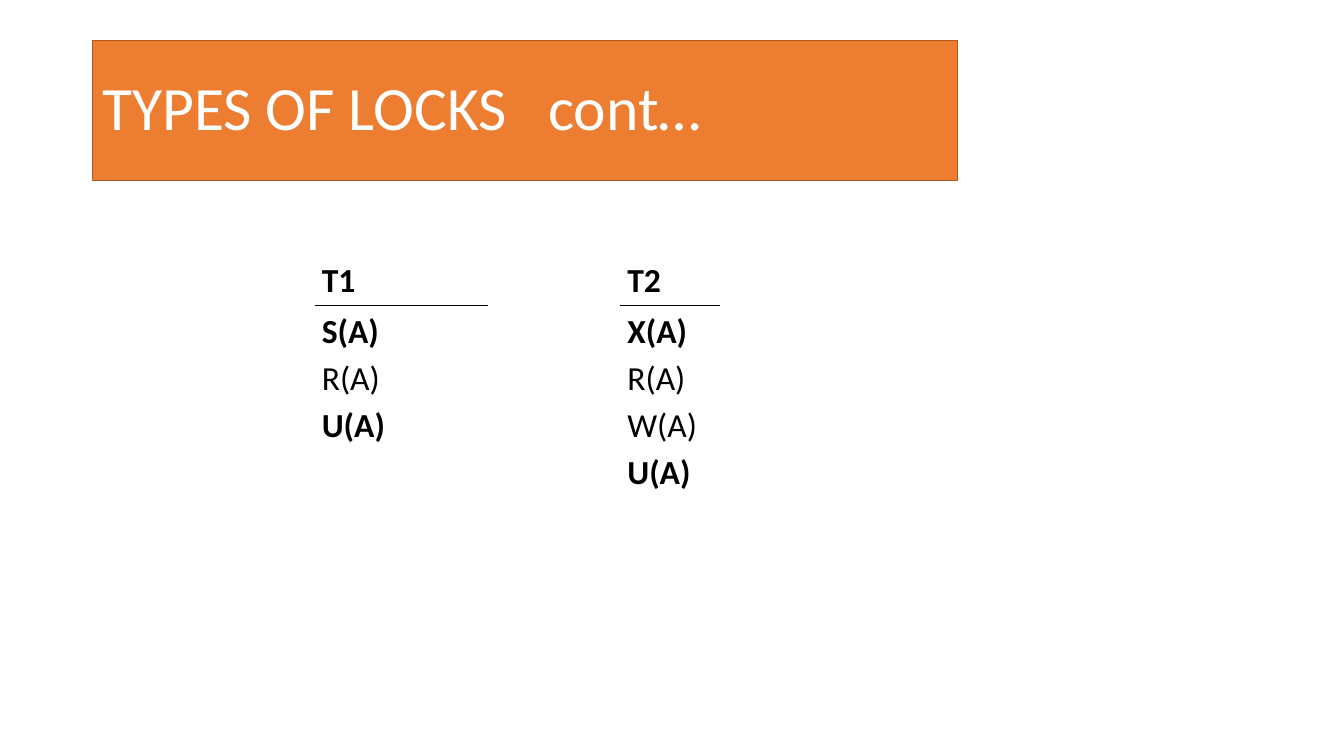
from lxml import etree
from pptx import Presentation
from pptx.dml.color import RGBColor
from pptx.enum.text import MSO_ANCHOR, MSO_AUTO_SIZE, PP_ALIGN
from pptx.oxml.ns import qn
from pptx.util import Cm, Pt

MIDDLE, TOP = MSO_ANCHOR.MIDDLE, MSO_ANCHOR.TOP
LEFT = PP_ALIGN.LEFT
NO_FIT = MSO_AUTO_SIZE.NONE

COLORS = {"banner": "ED7D31", "edge": "AF5C24", "light": "FFFFFF", "ink": "000000"}
FACE = "Calibri"
HEADS = ("T1", "", "T2")
STEPS = (("S(A)", "R(A)", "U(A)"), (), ("X(A)", "R(A)", "W(A)", "U(A)"))
LOCKS = ("S", "X", "U")  # lock and unlock steps are bold


def rgb(name):
    return RGBColor.from_string(COLORS[name])


def style(par, size, color, bold, space):
    par.alignment = LEFT
    par.line_spacing = space
    font = par.font
    font.name, font.size, font.bold = FACE, Pt(size), bold
    font.color.rgb = rgb(color)


def add_tab(par, pos):
    props = par._p.get_or_add_pPr()
    tabs = etree.Element(qn("a:tabLst"))
    etree.SubElement(tabs, qn("a:tab"), pos=str(pos), algn="l")
    props.find(qn("a:defRPr")).addprevious(tabs)


def set_edges(cell, ruled):
    """Draw the ruled sides in black and clear the others."""
    props = cell._tc.get_or_add_tcPr()
    for i, side in enumerate(("lnL", "lnR", "lnT", "lnB")):
        line = etree.Element(qn("a:" + side), w=str(Pt(1)))
        if side == ruled:
            fill = etree.SubElement(line, qn("a:solidFill"))
            etree.SubElement(fill, qn("a:srgbClr"), val=COLORS["ink"])
        else:
            etree.SubElement(line, qn("a:noFill"))
        props.insert(i, line)


# Title banner
def add_title(slide, left, top, width, height):
    title = slide.shapes.title
    title.left, title.top, title.width, title.height = left, top, width, height
    title.fill.solid()
    title.fill.fore_color.rgb = rgb("banner")
    title.line.color.rgb = rgb("edge")
    title.line.width = Pt(1)
    frame = title.text_frame
    frame.auto_size = NO_FIT
    frame.vertical_anchor = MIDDLE
    frame.text = "TYPES OF LOCKS\tcont…"
    par = frame.paragraphs[0]
    style(par, 44, "light", False, 0.9)
    add_tab(par, Cm(11.23))


# One table cell, a paragraph for each step
def fill_cell(cell, lines, ruled):
    cell.fill.background()
    cell.vertical_anchor = TOP
    cell.margin_left = cell.margin_right = Cm(0.18)
    cell.margin_top = cell.margin_bottom = 0
    set_edges(cell, ruled if lines else None)
    frame = cell.text_frame
    frame.text = "\n".join(lines)
    for par in frame.paragraphs:
        bold = par.text.startswith(LOCKS + ("T",))
        style(par, 24, "ink", bold, 1.15)


# Schedule of the two transactions
def add_plan(slide, left, top, width, height):
    table = slide.shapes.add_table(2, 3, left, top, width, height).table
    table.first_row = table.horz_banding = False
    for col, size in zip(table.columns, (4.37, 3.33, 2.52)):
        col.width = Cm(size)
    table.rows[0].height = Cm(1.3)
    table.rows[1].height = height - Cm(1.3)
    for i, (head, steps) in enumerate(zip(HEADS, STEPS)):
        fill_cell(table.cell(0, i), (head,) if head else (), "lnB")
        fill_cell(table.cell(1, i), steps, "lnT")


def main():
    deck = Presentation()
    deck.slide_width, deck.slide_height = Cm(33.87), Cm(19.05)
    slide = deck.slides.add_slide(deck.slide_layouts[5])
    add_title(slide, Cm(2.33), Cm(1.02), Cm(21.8), Cm(3.53))
    add_plan(slide, Cm(7.93), Cm(6.4), Cm(10.22), Cm(6.1))
    deck.save("out.pptx")


if __name__ == "__main__":
    main()
